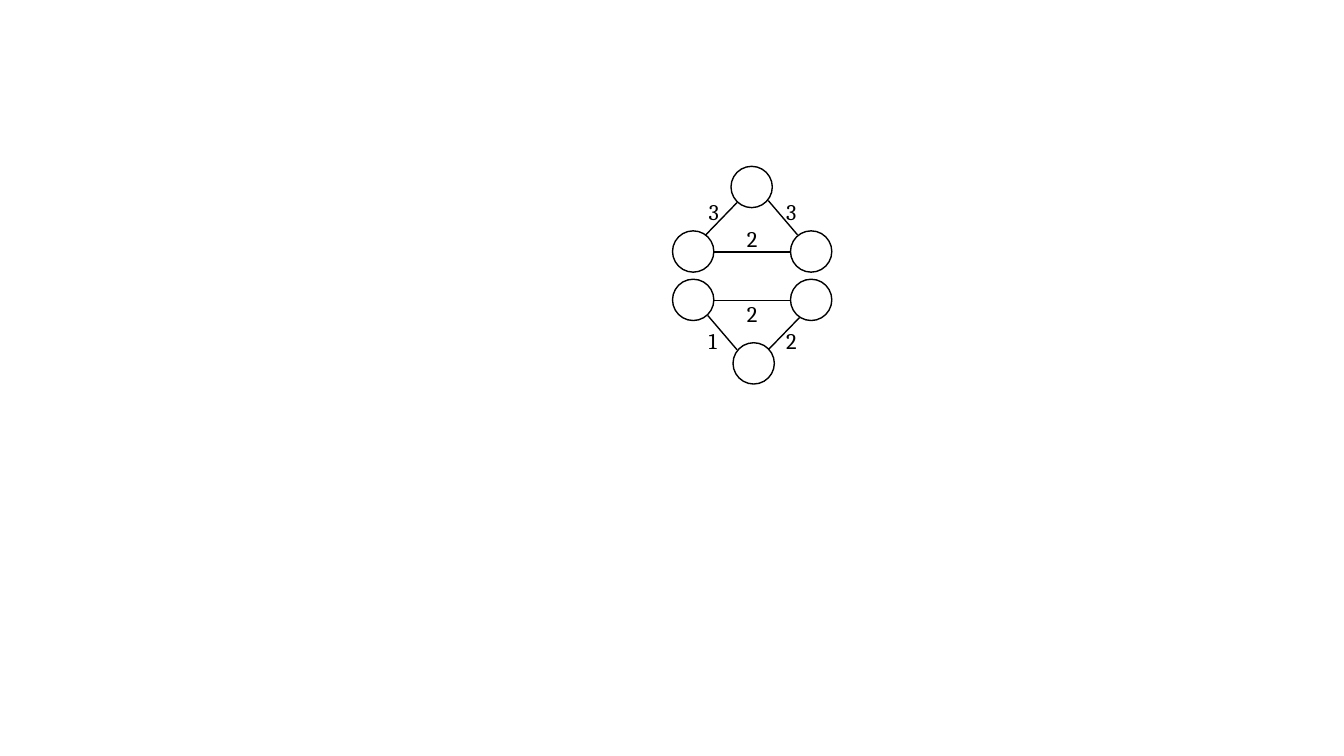
"""Build a slide with two weighted triangle graphs, one above the other."""
import pptx
import pptx.dml.color
import pptx.enum.shapes
import pptx.enum.text
import pptx.oxml
import pptx.util
from pptx.util import Inches

BLACK = pptx.dml.color.RGBColor(0x00, 0x00, 0x00)
WHITE = pptx.dml.color.RGBColor(0xFF, 0xFF, 0xFF)
NODE_SIZE = 0.41
LABEL_HEIGHT = 0.37

GRAPHS = [
    {
        "nodes": [(6.67, 2.29), (7.84, 2.29), (7.25, 1.65)],
        "edges": [(7.31, 2.01, 7.0, 2.33), (7.91, 2.33, 7.62, 1.99), (7.84, 2.5, 7.08, 2.5)],
        "weights": [("3", 6.93, 1.92, 0.24), ("3", 7.7, 1.92, 0.33), ("2", 7.31, 2.18, 0.33)],
    },
    {
        "nodes": [(6.67, 2.77), (7.84, 2.77), (7.27, 3.4)],
        "edges": [(7.02, 3.13, 7.31, 3.47), (7.93, 3.15, 7.62, 3.47), (7.84, 2.98, 7.08, 2.98)],
        "weights": [("1", 6.93, 3.2, 0.24), ("2", 7.7, 3.2, 0.33), ("2", 7.31, 2.93, 0.33)],
    },
]


def add_node(shapes, left, top):
    """Draw one round graph node."""
    node = shapes.add_shape(pptx.enum.shapes.MSO_SHAPE.OVAL, Inches(left), Inches(top),
                            Inches(NODE_SIZE), Inches(NODE_SIZE))
    node.shadow.inherit = False
    node.fill.solid()
    node.fill.fore_color.rgb = WHITE
    node.line.color.rgb = BLACK
    node.line.width = pptx.util.Pt(1)


def add_edge(shapes, *ends):
    """Draw one straight edge between two points."""
    edge = shapes.add_connector(pptx.enum.shapes.MSO_CONNECTOR.STRAIGHT, *map(Inches, ends))
    edge.line.color.rgb = BLACK
    edge.line.width = pptx.util.Pt(1)
    edge._element.spPr.append(pptx.oxml.parse_xml(
        '<a:effectLst xmlns:a="http://schemas.openxmlformats.org/drawingml/2006/main"/>'))


def add_text(shapes, text, left, top, width, *, size=16, font="Cambria", color=BLACK):
    """Write one text label."""
    label = shapes.add_textbox(Inches(left), Inches(top), Inches(width), Inches(LABEL_HEIGHT))
    frame = label.text_frame
    frame.word_wrap = True
    frame.auto_size = pptx.enum.text.MSO_AUTO_SIZE.SHAPE_TO_FIT_TEXT
    run = frame.paragraphs[0].add_run()
    run.text = text
    run.font.size = pptx.util.Pt(size)
    run.font.name = font
    run.font.color.rgb = color


def main():
    """Build and save the slide."""
    deck = pptx.Presentation()
    deck.slide_width, deck.slide_height = Inches(13.33), Inches(7.5)
    slide = deck.slides.add_slide(deck.slide_layouts[6])
    for graph in GRAPHS:
        shapes = slide.shapes.add_group_shape().shapes
        for node in graph["nodes"]:
            add_node(shapes, *node)
        for edge in graph["edges"]:
            add_edge(shapes, *edge)
        for weight in graph["weights"]:
            add_text(shapes, *weight)
    deck.save("out.pptx")


if __name__ == "__main__":
    main()
